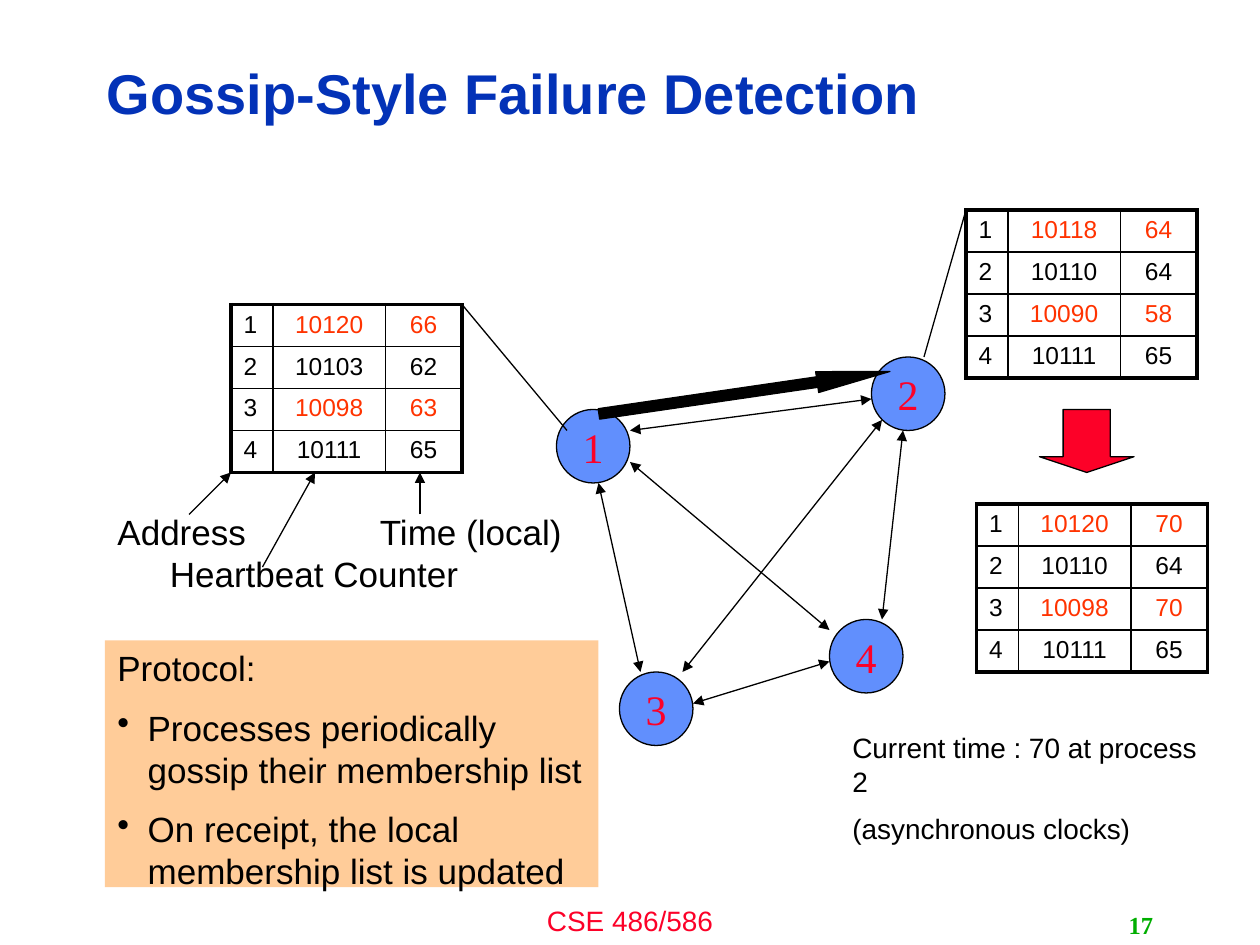
from dataclasses import dataclass
from typing import NamedTuple

from lxml import etree
from pptx import Presentation
from pptx import util as u
from pptx.dml.color import RGBColor
from pptx.enum import shapes, text
from pptx.oxml import ns


@dataclass(frozen=True)
class Theme:
    black: str = "000000"
    title: str = "0332B7"
    red: str = "FC0128"
    fresh: str = "FF3300"
    process: str = "618FFD"
    panel: str = "FFCC99"
    page: str = "00AE00"
    sans: str = "Arial"
    serif: str = "Times New Roman"
    title_size: int = 32
    process_size: int = 24
    body_size: int = 20
    small_size: int = 16
    table_size: int = 14
    thin: float = 0.75
    inner: float = 1
    outer: float = 2.25


class Box(NamedTuple):
    col: float
    row: float
    cols: float
    rows: float


class Process(NamedTuple):
    label: str
    col: float
    row: float


class Link(NamedTuple):
    start: tuple[float, float]
    end: tuple[float, float]
    head: bool = False
    tail: bool = False


class Members(NamedTuple):
    col: float
    row: float
    entries: tuple[tuple[int, int], ...]


@dataclass(frozen=True)
class Label:
    box: Box
    lines: tuple[str, ...]
    size: int
    color: str = "000000"
    font: str = "Arial"
    align: text.PP_ALIGN = text.PP_ALIGN.LEFT
    anchor: text.MSO_ANCHOR = text.MSO_ANCHOR.TOP
    bold: bool = False
    leading: float = 1.0


THEME = Theme()
GRID_COLS, GRID_ROWS = 120, 90
PROCESS_SPAN = 7
MEMBER_COLS = (4, 10.7, 7.3)
MEMBER_ROW = 4
ALIGN, ANCHOR = text.PP_ALIGN, text.MSO_ANCHOR

deck = Presentation()
deck.slide_width, deck.slide_height = u.Inches(10), u.Inches(7.5)
slide = deck.slides.add_slide(deck.slide_layouts[6])


def x(cols: float) -> int:
    return round(deck.slide_width * cols / GRID_COLS)


def y(rows: float) -> int:
    return round(deck.slide_height * rows / GRID_ROWS)


def place(box: Box) -> tuple[int, int, int, int]:
    return x(box.col), y(box.row), x(box.cols), y(box.rows)


def color(value: str) -> RGBColor:
    return RGBColor.from_string(value)


def write(frame, label: Label) -> None:
    frame.text = "\n".join(label.lines)
    frame.word_wrap = True
    frame.vertical_anchor = label.anchor
    for index, paragraph in enumerate(frame.paragraphs):
        paragraph.alignment = label.align
        paragraph.line_spacing = label.leading
        paragraph.space_before = u.Pt(label.size / 2 if index else 0)
        for run in paragraph.runs:
            run.font.size = u.Pt(label.size)
            run.font.name = label.font
            run.font.bold = label.bold
            run.font.color.rgb = color(label.color)


def add_label(label: Label) -> None:
    write(slide.shapes.add_textbox(*place(label.box)).text_frame, label)


def add_figure(kind: shapes.MSO_SHAPE, box: Box, fill: str, outlined: bool = True):
    figure = slide.shapes.add_shape(kind, *place(box))
    figure.shadow.inherit = False
    figure.fill.solid()
    figure.fill.fore_color.rgb = color(fill)
    if outlined:
        figure.line.color.rgb = color(THEME.black)
        figure.line.width = u.Pt(THEME.thin)
    else:
        figure.line.fill.background()
    return figure


def add_process(process: Process) -> None:
    box = Box(process.col, process.row, PROCESS_SPAN, PROCESS_SPAN)
    circle = add_figure(shapes.MSO_SHAPE.OVAL, box, THEME.process)
    write(circle.text_frame, Label(box, (process.label,), THEME.process_size, THEME.red,
                                   THEME.serif, ALIGN.CENTER, ANCHOR.MIDDLE))
    circle.text_frame.word_wrap = False


def add_link(link: Link) -> None:
    line = slide.shapes.add_connector(shapes.MSO_CONNECTOR.STRAIGHT, x(link.start[0]),
                                      y(link.start[1]), x(link.end[0]), y(link.end[1]))
    line.line.color.rgb = color(THEME.black)
    line.line.width = u.Pt(THEME.thin)
    properties = line._element.spPr
    outline = properties.find(ns.qn("a:ln"))
    for tag, shown in (("a:headEnd", link.head), ("a:tailEnd", link.tail)):
        if shown:
            etree.SubElement(outline, ns.qn(tag), type="triangle")
    etree.SubElement(properties, ns.qn("a:effectLst"))


def add_border(cell, side: str, width: float) -> None:
    edge = etree.SubElement(cell._tc.get_or_add_tcPr(), ns.qn("a:ln" + side),
                            w=str(u.Pt(width)))
    paint = etree.SubElement(edge, ns.qn("a:solidFill"))
    etree.SubElement(paint, ns.qn("a:srgbClr"), val=THEME.black)


def add_members(members: Members) -> None:
    last_row, last_col = len(members.entries) - 1, len(MEMBER_COLS) - 1
    box = Box(members.col, members.row, sum(MEMBER_COLS), MEMBER_ROW * (last_row + 1))
    table = slide.shapes.add_table(last_row + 1, last_col + 1, *place(box)).table
    table.first_row = table.horz_banding = False
    for column, span in zip(table.columns, MEMBER_COLS):
        column.width = x(span)
    for row, (heartbeat, time) in enumerate(members.entries):
        table.rows[row].height = y(MEMBER_ROW)
        for col, value in enumerate((row + 1, heartbeat, time)):
            cell = table.cell(row, col)
            edges = {"L": col == 0, "R": col == last_col, "T": row == 0, "B": row == last_row}
            for side, outside in edges.items():
                add_border(cell, side, THEME.outer if outside else THEME.inner)
            cell.fill.background()
            ink = THEME.fresh if col and row % 2 == 0 else THEME.black
            write(cell.text_frame, Label(box, (str(value),), THEME.table_size, ink,
                                         align=ALIGN.CENTER if col else ALIGN.LEFT))


def add_protocol() -> None:
    box = Box(10, 61, 47, 23.5)
    panel = add_figure(shapes.MSO_SHAPE.RECTANGLE, box, THEME.panel, outlined=False)
    write(panel.text_frame, Label(box, (
        "Protocol: ", "Processes periodically gossip their membership list",
        "On receipt, the local membership list is updated"), THEME.body_size))
    for step in panel.text_frame.paragraphs[1:]:
        properties = step._p.get_or_add_pPr()
        properties.set("marL", str(u.Inches(0.24)))
        properties.set("indent", str(-u.Inches(0.24)))
        etree.SubElement(properties, ns.qn("a:buChar"), char="•")


PROCESSES = (Process("1", 53, 39), Process("2", 83, 34),
             Process("4", 79, 59), Process("3", 59, 64))
CHANNELS = (((60, 41), (83, 38)), ((57, 46), (61, 64)), ((66, 67), (79, 63)),
            ((84, 59), (86, 41)), ((65, 64), (84, 40)), ((79, 60), (60, 44)))
OWNERS = (((54, 41), (44, 29)), ((88, 34), (92, 20)))
POINTERS = (((18, 49), (22, 45)), ((25, 54), (30, 45)), ((40, 49), (40, 45)))
LINKS = (*(Link(*ends, head=True, tail=True) for ends in CHANNELS),
         *(Link(*ends) for ends in OWNERS),
         *(Link(*ends, tail=True) for ends in POINTERS))
MEMBER_LISTS = (
    Members(22, 29, ((10120, 66), (10103, 62), (10098, 63), (10111, 65))),
    Members(92, 20, ((10118, 64), (10110, 64), (10090, 58), (10111, 65))),
    Members(93, 48, ((10120, 70), (10110, 64), (10098, 70), (10111, 65))),
)
LABELS = (
    Label(Box(9, 4.3, 95.8, 9.7), ("Gossip-Style Failure Detection",), THEME.title_size,
          THEME.title, anchor=ANCHOR.MIDDLE, bold=True, leading=0.9),
    Label(Box(40, 85.5, 40, 4.4), ("CSE 486/586",), THEME.small_size, THEME.red,
          align=ALIGN.CENTER),
    Label(Box(86, 86.2, 25, 3.8), ("17",), THEME.table_size, THEME.page, THEME.serif,
          ALIGN.RIGHT, ANCHOR.MIDDLE, True),
    Label(Box(80, 69, 36, 11.5), ("Current time : 70 at process 2", "(asynchronous clocks)"),
          THEME.small_size),
    Label(Box(10, 48, 16, 5.2), ("Address",), THEME.body_size),
    Label(Box(15, 52, 31, 5.2), ("Heartbeat Counter",), THEME.body_size),
    Label(Box(35, 48, 21, 5.2), ("Time (local)",), THEME.body_size),
)

for draw, parts in ((add_process, PROCESSES), (add_members, MEMBER_LISTS),
                    (add_link, LINKS), (add_label, LABELS)):
    for part in parts:
        draw(part)
gossip = add_figure(shapes.MSO_SHAPE.RIGHT_ARROW, Box(56.9, 36.4, 28, 2), THEME.black)
gossip.adjustments[1] = 3.5
gossip.rotation = -8.3
update = add_figure(shapes.MSO_SHAPE.DOWN_ARROW, Box(99, 39, 9, 6), THEME.red)
update.adjustments[1] = 0.25
add_protocol()
deck.save("out.pptx")
